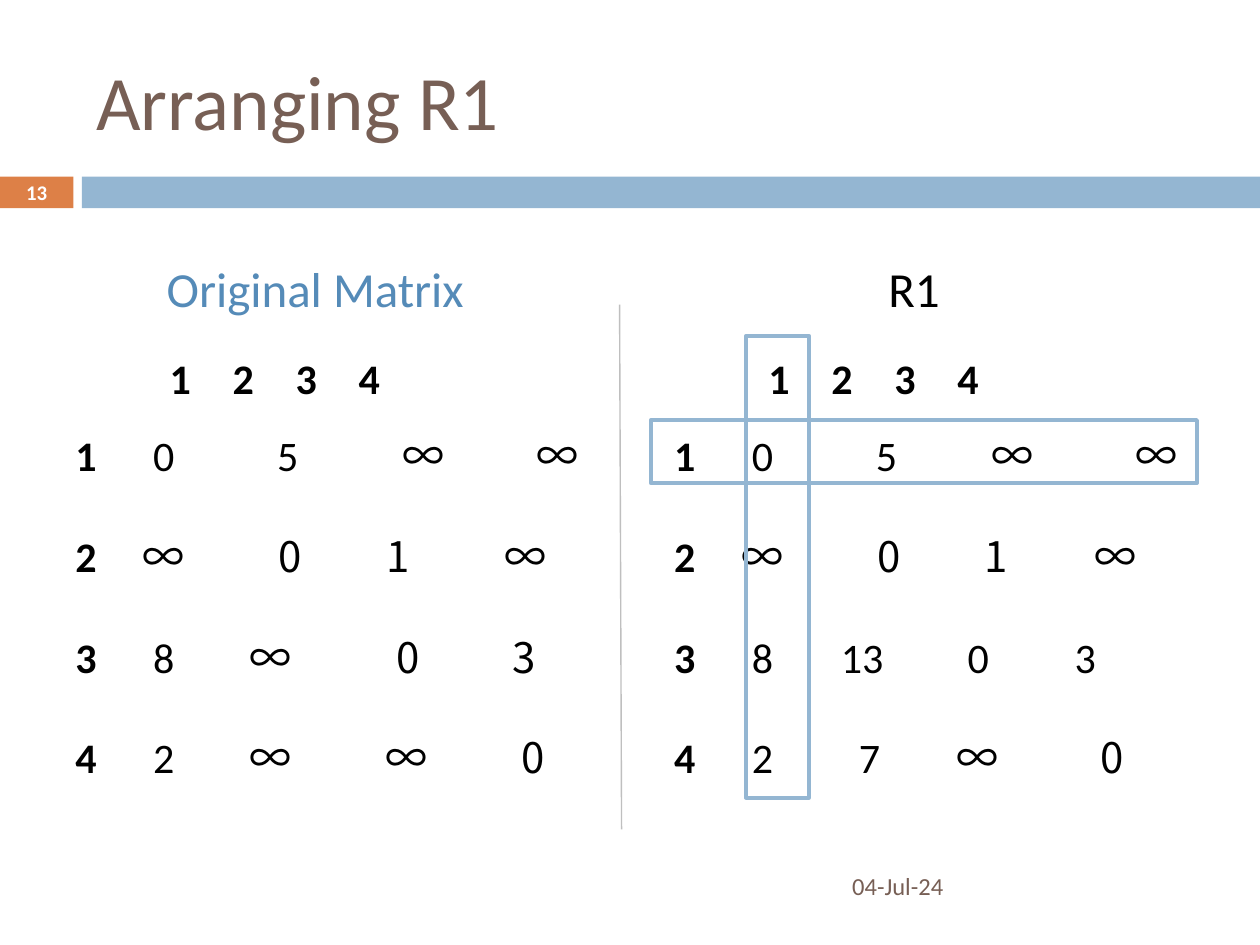
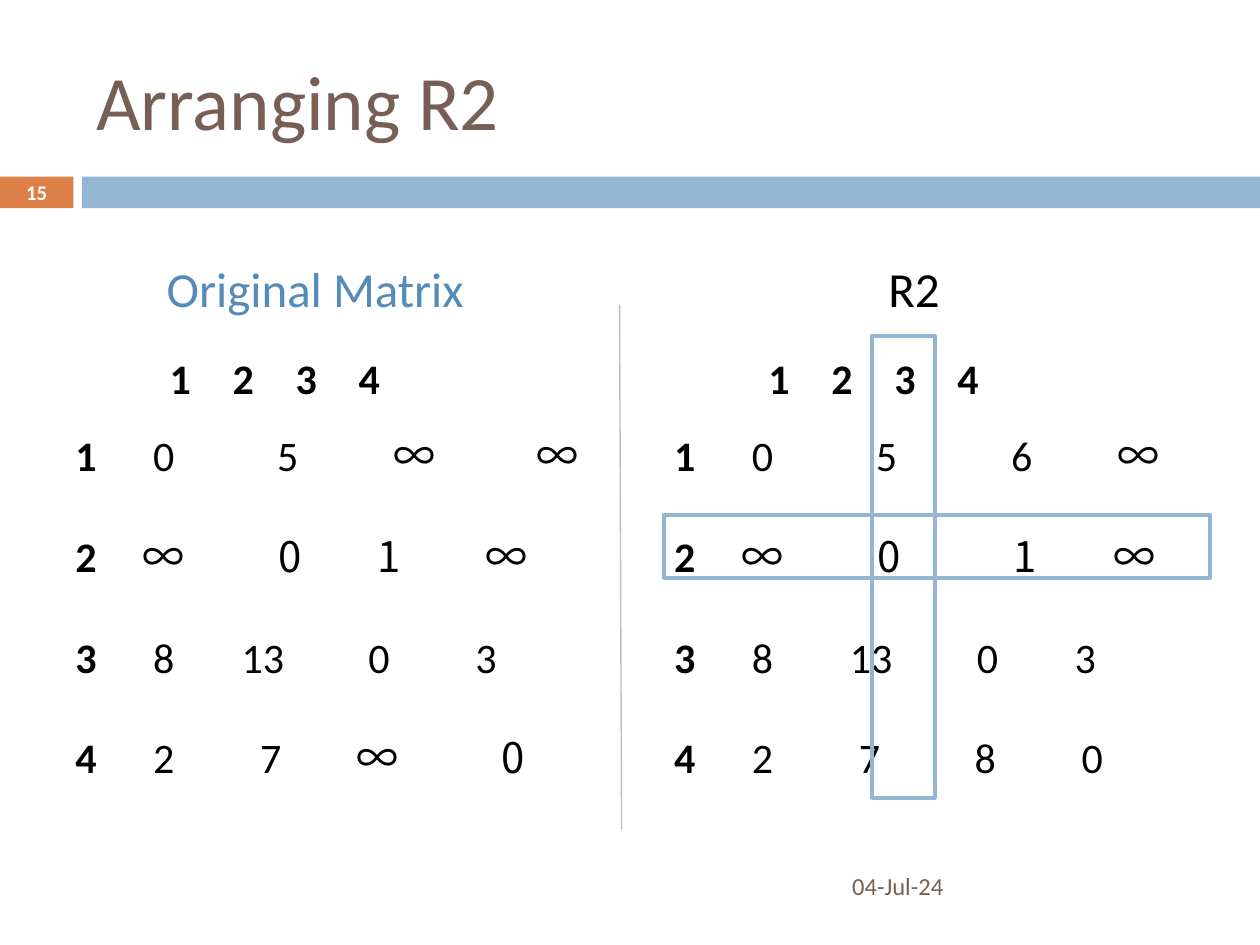
from lxml.etree import SubElement as Sub
from pptx import Presentation
from pptx.dml.color import RGBColor
from pptx.enum.shapes import MSO_CONNECTOR as LINK, MSO_SHAPE as SHAPE
from pptx.enum.text import MSO_ANCHOR as ANCHOR, PP_ALIGN as ALIGN
from pptx.oxml.ns import qn
from pptx.util import Cm, Pt

BROWN, ORANGE, BLUE = "775F55", "DD8047", "94B6D2"
STEEL, GREY, BLACK, WHITE = "558BB8", "BFBFBF", "000000", "FFFFFF"
FONT, MATH = "Calibri", "Noto Sans CJK SC"
FIRST = 1.78  # centre of the first matrix column
LEFT, RIGHT, TOP = 1.27, 13.34, 5.08  # corners of the two panels

# Each row: its values, then the centres of columns 2 to 4 in cm
SLIDES = [
    dict(
        name="R1", page="13", cross=(13.12, 8.47, 15.04),
        old=[("0 5 ∞ ∞", 4.28, 7.02, 9.72),
             ("∞ 0 1 ∞", 4.34, 6.5, 9.08),
             ("8 ∞ 0 3", 3.94, 6.7, 9.04),
             ("2 ∞ ∞ 0", 3.94, 6.68, 9.23)],
        new=[("0 5 ∞ ∞", 4.28, 6.83, 9.72),
             ("∞ 0 1 ∞", 4.34, 6.5, 8.89),
             ("8 13 0 3", 3.79, 6.13, 8.29),
             ("2 7 ∞ 0", 3.94, 6.11, 8.83)]),
    dict(
        name="R2", page="15", cross=(13.39, 10.38, 17.58),
        old=[("0 5 ∞ ∞", 4.28, 6.83, 9.72),
             ("∞ 0 1 ∞", 4.34, 6.33, 8.7),
             ("8 13 0 3", 3.78, 6.12, 8.28),
             ("2 7 ∞ 0", 3.94, 6.1, 8.83)],
        new=[("0 5 6 ∞", 4.28, 7.01, 9.36),
             ("∞ 0 1 ∞", 4.34, 7.08, 9.28),
             ("8 13 0 3", 3.97, 6.32, 8.29),
             ("2 7 8 0", 3.94, 6.27, 8.43)]),
]


def paint(hue):
    return RGBColor.from_string(hue)


def style(run, size, hue, bold=False, face=FONT):
    font = run.font
    font.name, font.size, font.bold = face, Pt(size), bold
    font.color.rgb = paint(hue)
    if face == MATH:
        Sub(run._r.get_or_add_rPr(), qn("a:ea"), typeface=face)


def label(slide, box, text, size, hue, bold=False,
          align=ALIGN.LEFT, anchor=ANCHOR.TOP):
    frame = slide.shapes.add_textbox(*map(Cm, box)).text_frame
    frame.word_wrap, frame.vertical_anchor = True, anchor
    frame.text = text
    para = frame.paragraphs[0]
    para.alignment = align
    for run in para.runs:
        style(run, size, hue, bold)


def block(slide, box, fill=None, line=None):
    shape = slide.shapes.add_shape(SHAPE.RECTANGLE, *map(Cm, box))
    shape.shadow.inherit = False
    if fill:
        shape.fill.solid()
        shape.fill.fore_color.rgb = paint(fill)
    else:
        shape.fill.background()
    if line:
        shape.line.color.rgb = paint(line)
        shape.line.width = Pt(2.25)
    else:
        shape.line.fill.background()


def frame_up(slide, title, page):
    # Band, title, page number and date
    block(slide, (0, 3.56, 1.48, 0.64), fill=ORANGE)
    block(slide, (1.65, 3.56, 23.75, 0.64), fill=BLUE)
    label(slide, (1.69, 0.64, 22.66, 2.75), title, 44, BROWN,
          anchor=ANCHOR.MIDDLE)
    label(slide, (0, 3.53, 1.48, 0.69), page, 11.9, WHITE, True,
          ALIGN.CENTER, ANCHOR.MIDDLE)
    label(slide, (16.93, 17.36, 7.41, 1.01), "04-Jul-24", 14, BROWN,
          anchor=ANCHOR.MIDDLE)


def matrix(slide, left, top, rows):
    box = slide.shapes.add_textbox(Cm(left), Cm(top), Cm(11.86), Cm(7.45))
    frame = box.text_frame
    frame.word_wrap = True
    for num, (values, *stops) in enumerate(rows, 1):
        para = frame.paragraphs[0] if num == 1 else frame.add_paragraph()
        para.line_spacing = Pt(31)
        if num > 1:
            para.space_before = Pt(26.5)
        tabs = Sub(para._p.get_or_add_pPr(), qn("a:tabLst"))
        for stop in (FIRST, *stops):
            Sub(tabs, qn("a:tab"), pos=str(int(Cm(stop))), algn="ctr")
        # The math face runs from the first infinity to the row's end
        cells = "".join("\t" + val for val in values.split())
        plain, sign, rest = cells.partition("∞")
        for text, bold, face in ((str(num), True, FONT),
                                 (plain, False, FONT),
                                 (sign + rest, False, MATH)):
            if text:
                run = para.add_run()
                run.text = text
                style(run, 24, BLACK, bold, face)


def panel(slide, left, top, name, hue, rows):
    # Caption, column heads and matrix
    label(slide, (left + 0.64, top, 8.89, 1.45), name, 28, hue,
          align=ALIGN.CENTER)
    label(slide, (left + 1.9, top + 1.9, 8.89, 1.28), "1\t2\t3\t4", 24,
          BLACK, True)
    matrix(slide, left, top + 3.38, rows)


def split(slide):
    rule = slide.shapes.add_connector(
        LINK.STRAIGHT, Cm(12.49), Cm(6.14), Cm(12.53), Cm(16.72))
    rule.line.color.rgb = paint(GREY)
    rule.line.width = Pt(0.79)
    Sub(rule._element.spPr, qn("a:effectLst"))


def cross_out(slide, row_x, row_y, col_x):
    # Frames around the pivot row and column
    block(slide, (row_x, row_y, 11.01, 1.27), line=BLUE)
    block(slide, (col_x, 6.77, 1.27, 9.31), line=BLUE)


def compare(slide, name, page, cross, old, new):
    frame_up(slide, "Arranging " + name, page)
    panel(slide, LEFT, TOP, "Original Matrix", STEEL, old)
    panel(slide, RIGHT, TOP, name, BLACK, new)
    split(slide)
    cross_out(slide, *cross)


def main():
    deck = Presentation()
    deck.slide_width, deck.slide_height = Cm(25.4), Cm(19.05)
    for data in SLIDES:
        compare(deck.slides.add_slide(deck.slide_layouts[6]), **data)
    deck.save("out.pptx")


if __name__ == "__main__":
    main()
